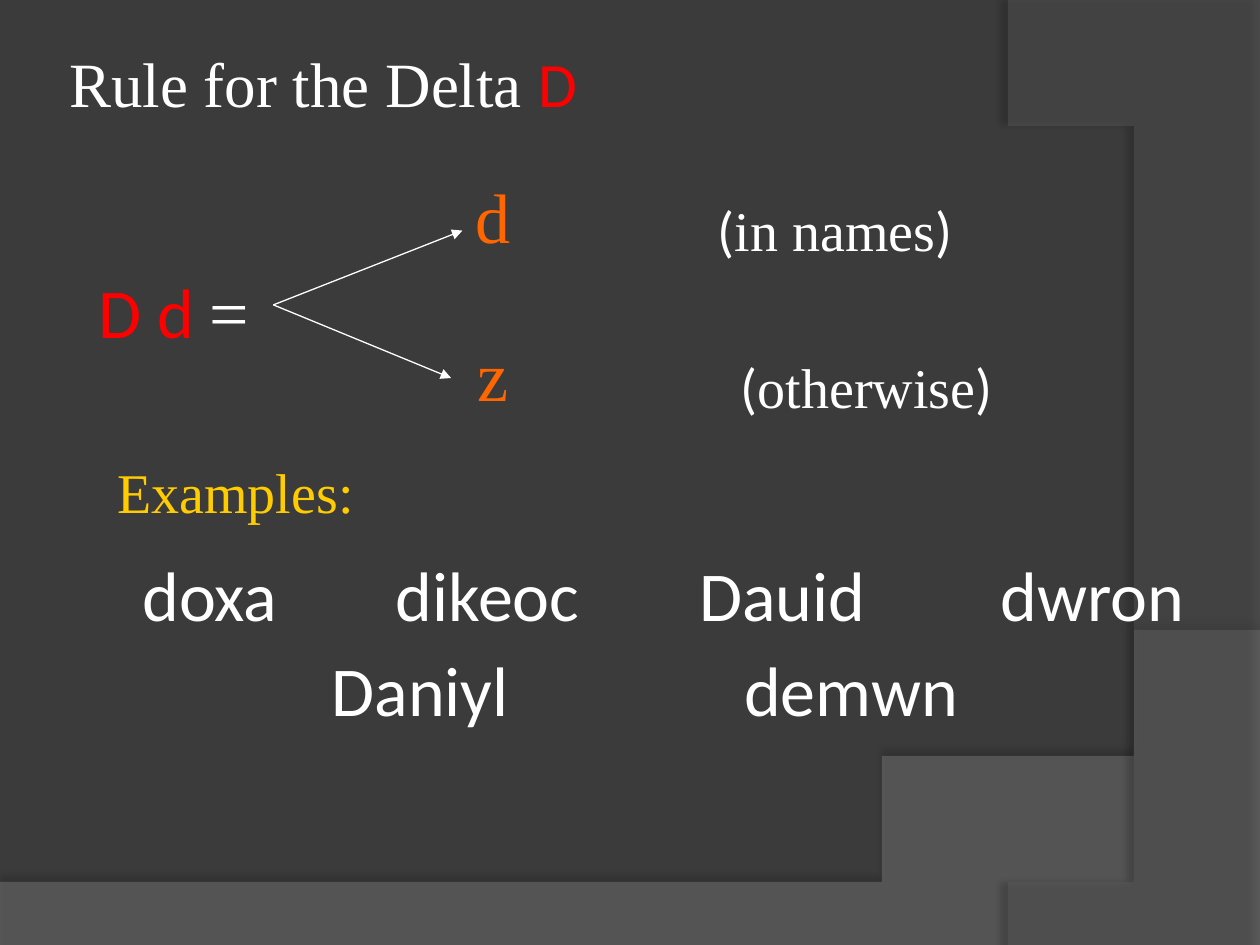
"""Build the slide on the rule for the letter delta."""
import lxml.etree
import pptx
import pptx.dml.color
import pptx.enum.shapes
import pptx.enum.text
import pptx.oxml
import pptx.oxml.ns
import pptx.util

Inches = pptx.util.Inches
Pt = pptx.util.Pt
qn = pptx.oxml.ns.qn
Sub = lxml.etree.SubElement
SANS, SERIF = "Calibri", "Times New Roman"
WHITE, RED, ORANGE, GOLD = "FFFFFF", "FF0000", "FF6600", "FFCC00"


def color(code):
    """Turn a hex string into a colour."""
    return pptx.dml.color.RGBColor.from_string(code)


def write(left, top, width, height, size, runs):
    """Add a centred text box and return it."""
    box = slide.shapes.add_textbox(Inches(left), Inches(top), Inches(width), Inches(height))
    box.text_frame.word_wrap = True
    para = box.text_frame.paragraphs[0]
    para.alignment = pptx.enum.text.PP_ALIGN.CENTER
    para.font.size = Pt(size)
    for text, face, code in runs:
        run = para.add_run()
        run.text = text
        font = para.font if len(runs) == 1 else run.font
        font.name = face
        font.color.rgb = color(code)
    return box


deck = pptx.Presentation()
deck.slide_width, deck.slide_height = Inches(10), Inches(7.5)
slide = deck.slides.add_slide(deck.slide_layouts[6])
slide.background.fill.solid()
slide.background.fill.fore_color.rgb = color("3B3B3B")

waves = [
    ([(0, 7.05), (0, 7.51), (10, 7.51)],
     [(10, 5.2), (5.59, 7.29), (3.91, 7.19), (0, 7.05)], "7F7F7F", 45, 35, 3.5, 270),
    ([(8, 0), (10, 0.02), (10, 7.5)],
     [(8.21, 7.5), (9.35, 6.19), (10.18, 3), (8, 0)], "5E5E5E", 40, 45, 4, 180),
]
steps = 60
for edge, curve, code, alpha, dark, gap, angle in waves:
    points = list(edge)
    for step in range(steps + 1):
        t = step / steps
        parts = [(1 - t) ** 3, 3 * t * (1 - t) ** 2, 3 * t * t * (1 - t), t ** 3]
        points.append(tuple(sum(p * spot[axis] for p, spot in zip(parts, curve)) for axis in (0, 1)))
    form = slide.shapes.build_freeform(*points[0], scale=Inches(1))
    form.add_line_segments(points[1:], close=True)
    wave = form.convert_to_shape()
    wave.fill.solid()
    wave.fill.fore_color.rgb = color(code)
    wave.line.fill.background()
    wave.shadow.inherit = False
    props = wave.element.spPr
    tint = props.find(qn("a:solidFill"))[0]
    Sub(tint, qn("a:alpha"), val=str(alpha * 1000))
    shade = Sub(props.find(qn("a:effectLst")), qn("a:outerShdw"), blurRad=str(Pt(4)),
                dist=str(Pt(gap)), dir=str(angle * 60000), algn="ctr", rotWithShape="0")
    black = Sub(shade, qn("a:srgbClr"), val="000000")
    Sub(black, qn("a:alpha"), val=str(dark * 1000))

title = write(0.5, 0.3, 9, 0.7, 36, [("Rule for the Delta ", SERIF, WHITE), ("D", SANS, RED)])
frame = title.text_frame
frame.vertical_anchor = pptx.enum.text.MSO_ANCHOR.MIDDLE
frame.margin_left = frame.margin_right = Inches(0.05)
frame.paragraphs[0].alignment = pptx.enum.text.PP_ALIGN.LEFT

write(0.42, 2.08, 1.92, 0.77, 40, [("D d ", SANS, RED), ("=", SERIF, WHITE)])
for sound, top, case, left, high, width in [
    ("d", 1.33, "in names", 4.17, 1.5, 4.92),
    ("z", 2.58, "otherwise", 4.17, 2.75, 5.42),
]:
    write(3.58, top, 0.67, 0.77, 40, [(sound, SERIF, ORANGE)])
    write(left, high, width, 0.63, 32,
          [("(", SANS, WHITE), (case, SERIF, WHITE), (")", SANS, WHITE)])

write(0.58, 3.58, 2.58, 0.63, 32, [("Examples:", SERIF, GOLD)])
for word, left, top, width in [
    ("doxa", 0.83, 4.33, 1.67),
    ("dikeoc", 2.83, 4.33, 2.08),
    ("Dauid", 5.17, 4.33, 2.08),
    ("dwron", 7.67, 4.33, 2),
    ("Daniyl", 2.17, 5.08, 2.33),
    ("demwn", 5.67, 5.08, 2.17),
]:
    write(left, top, width, 0.77, 40, [(word, SANS, WHITE)])

for right, end in [(3.67, 1.83), (3.58, 3)]:
    arrow = slide.shapes.add_connector(
        pptx.enum.shapes.MSO_CONNECTOR.STRAIGHT,
        Inches(2.17), Inches(2.42), Inches(right), Inches(end))
    arrow.line.color.rgb = color(WHITE)
    arrow.line.width = Pt(0.75)
    Sub(arrow.line._get_or_add_ln(), qn("a:tailEnd"), type="triangle")
    Sub(arrow.element.spPr, qn("a:effectLst"))

deck.save("out.pptx")
